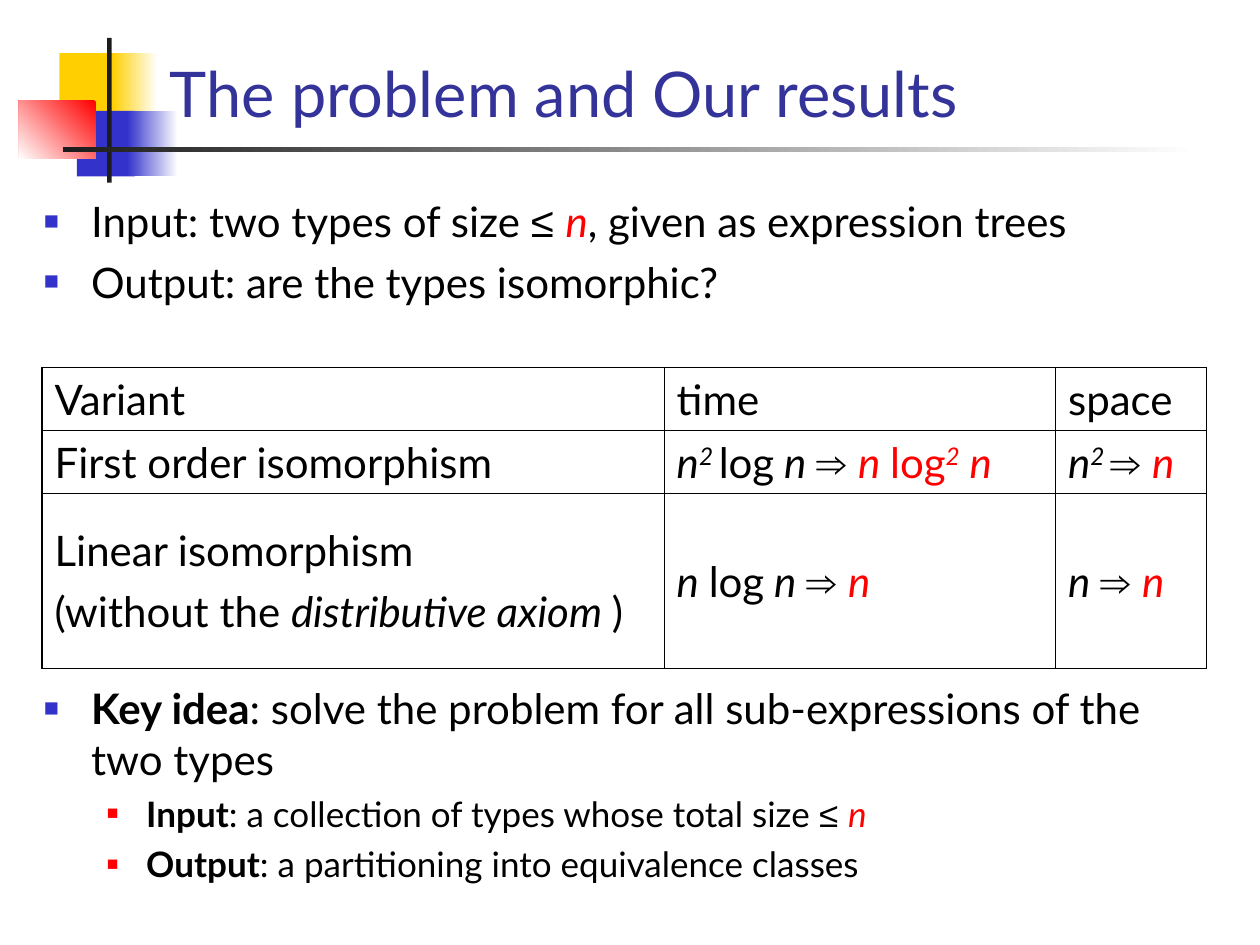
"""Build the slide on type isomorphism: the problem, the results table and the key idea."""
import pptx
import pptx.dml.color
import pptx.enum.shapes
import pptx.enum.text
import pptx.oxml
import pptx.oxml.ns
import pptx.util

Pt = pptx.util.Pt
COLORS = {
    "black": "000000", "white": "FFFFFF", "red": "FF0000", "blue": "3333CC",
    "yellow": "FFCF01", "charcoal": "1C1C1C", "title": "333399",
}


def rgb(name):
    return pptx.dml.color.RGBColor.from_string(COLORS[name])


def add_runs(paragraph, runs, size=24, color="black"):
    for text, *styles in runs:
        run = paragraph.add_run()
        run.text = text
        run.font.size = Pt(size)
        run.font.name = "Arial" if "symbol" in styles else "Lato"
        run.font.bold = "bold" in styles
        run.font.italic = "italic" in styles
        run.font.color.rgb = rgb("red" if "red" in styles else color)
        if "super" in styles:
            run._r.get_or_add_rPr().set("baseline", "30000")


presentation = pptx.Presentation()
presentation.slide_width = Pt(720)
presentation.slide_height = Pt(540)
slide = presentation.slides.add_slide(presentation.slide_layouts[6])

decorations = [
    (33.9, 30.3, 34.6, 37.4, ["yellow"], 0),
    (64.1, 30.3, 25.9, 37.4, ["white", "yellow"], 180),
    (43.9, 63.4, 33.1, 37.4, ["blue"], 0),
    (72.7, 63.4, 28.8, 37.4, ["white", "blue"], 180),
    (10.8, 57.6, 43.9, 33.1, ["red", "white"], 225),
    (61.2, 21.6, 2.6, 82.8, ["charcoal"], 0),
    (36, 84.2, 648, 2.6, ["white", "charcoal"], 180),
]
for left, top, width, height, fill_colors, angle in decorations:
    shape = slide.shapes.add_shape(
        pptx.enum.shapes.MSO_SHAPE.RECTANGLE, Pt(left), Pt(top), Pt(width), Pt(height))
    shape.shadow.inherit = False
    shape.line.fill.background()
    if len(fill_colors) == 1:
        shape.fill.solid()
        shape.fill.fore_color.rgb = rgb(fill_colors[0])
    else:
        shape.fill.gradient()
        shape.fill.gradient_angle = angle
        for stop, color in zip(shape.fill.gradient_stops, fill_colors):
            stop.color.rgb = rgb(color)

title = slide.shapes.add_textbox(Pt(90), Pt(18), Pt(606), Pt(60)).text_frame
title.word_wrap = True
title.vertical_anchor = pptx.enum.text.MSO_ANCHOR.BOTTOM
add_runs(title.paragraphs[0], [("The problem and Our results",)], 36, "title")

levels = [
    {"size": 24, "before": 6, "margin": 27, "hanging": 27, "color": "blue", "bullet": 60},
    {"size": 20, "before": 5, "margin": 58.5, "hanging": 22.5, "color": "red", "bullet": 55},
]
bullet_lists = [
    (108, 90, [
        (0, [("Input: two types of size ",), ("≤ ", "symbol"), ("n", "italic", "red"),
             (", given as expression trees",)]),
        (0, [("Output: are the types isomorphic?",)]),
    ]),
    (386.6, 130, [
        (0, [("Key idea", "bold"),
             (": solve the problem for all sub-expressions of the two types",)]),
        (1, [("Input", "bold"), (": a collection of types whose total size ",),
             ("≤ ", "symbol"), ("n", "italic", "red")]),
        (1, [("Output", "bold"), (": a partitioning into equivalence classes",)]),
    ]),
]
for top, height, items in bullet_lists:
    frame = slide.shapes.add_textbox(Pt(18), Pt(top), Pt(678), Pt(height)).text_frame
    frame.word_wrap = True
    for index, (depth, runs) in enumerate(items):
        level = levels[depth]
        paragraph = frame.add_paragraph() if index else frame.paragraphs[0]
        paragraph.level = depth
        paragraph.space_before = Pt(level["before"])
        properties = paragraph._p.get_or_add_pPr()
        properties.set("marL", str(Pt(level["margin"])))
        properties.set("indent", str(-Pt(level["hanging"])))
        namespace = pptx.oxml.ns.nsdecls("a")
        for xml in (
            f'<a:buClr {namespace}><a:srgbClr val="{COLORS[level["color"]]}"/></a:buClr>',
            f'<a:buSzPct {namespace} val="{level["bullet"] * 1000}"/>',
            f'<a:buFont {namespace} typeface="Arial"/>',
            f'<a:buChar {namespace} char="■"/>',
        ):
            properties.append(pptx.oxml.parse_xml(xml))
        add_runs(paragraph, runs, level["size"])

arrow = ("⇒ ", "symbol")
red_n = ("n", "italic", "red")
rows = [
    [[[("Variant",)]], [[("time",)]], [[("space",)]]],
    [
        [[("First order isomorphism",)]],
        [[("n", "italic"), ("2 ", "italic", "super"), ("log",), (" n ", "italic"), arrow,
          ("n ", "italic", "red"), ("log", "red"), ("2", "italic", "red", "super"),
          (" n", "italic", "red")]],
        [[("n", "italic"), ("2 ", "italic", "super"), arrow, red_n]],
    ],
    [
        [[("Linear isomorphism",)],
         [("(without the ",), ("distributive axiom ", "italic"), (")",)]],
        [[("n ", "italic"), ("log",), (" n ", "italic"), arrow, red_n]],
        [[("n ", "italic"), arrow, red_n]],
    ],
]
column_widths = [355.5, 223.7, 86.2]
row_heights = [36, 36, 100]
table = slide.shapes.add_table(
    3, 3, Pt(24), Pt(210), Pt(sum(column_widths)), Pt(sum(row_heights))).table
table.first_row = False
table.horz_banding = False
for column, width in zip(table.columns, column_widths):
    column.width = Pt(width)
for row, height in zip(table.rows, row_heights):
    row.height = Pt(height)

for row_index, row in enumerate(rows):
    for column_index, paragraphs in enumerate(row):
        cell = table.cell(row_index, column_index)
        cell.vertical_anchor = pptx.enum.text.MSO_ANCHOR.MIDDLE
        outer_edges = {"lnL": column_index == 0, "lnR": column_index == 2,
                       "lnT": row_index == 0, "lnB": row_index == 2}
        for tag, outer in outer_edges.items():
            cell._tc.get_or_add_tcPr().append(pptx.oxml.parse_xml(
                f'<a:{tag} {pptx.oxml.ns.nsdecls("a")} w="{Pt(1.08 if outer else 0.45)}">'
                f'<a:solidFill><a:srgbClr val="{COLORS["black"]}"/></a:solidFill></a:{tag}>'))
        cell.fill.background()
        for index, runs in enumerate(paragraphs):
            frame = cell.text_frame
            paragraph = frame.add_paragraph() if index else frame.paragraphs[0]
            paragraph.space_before = Pt(6)
            add_runs(paragraph, runs)

presentation.save("out.pptx")
